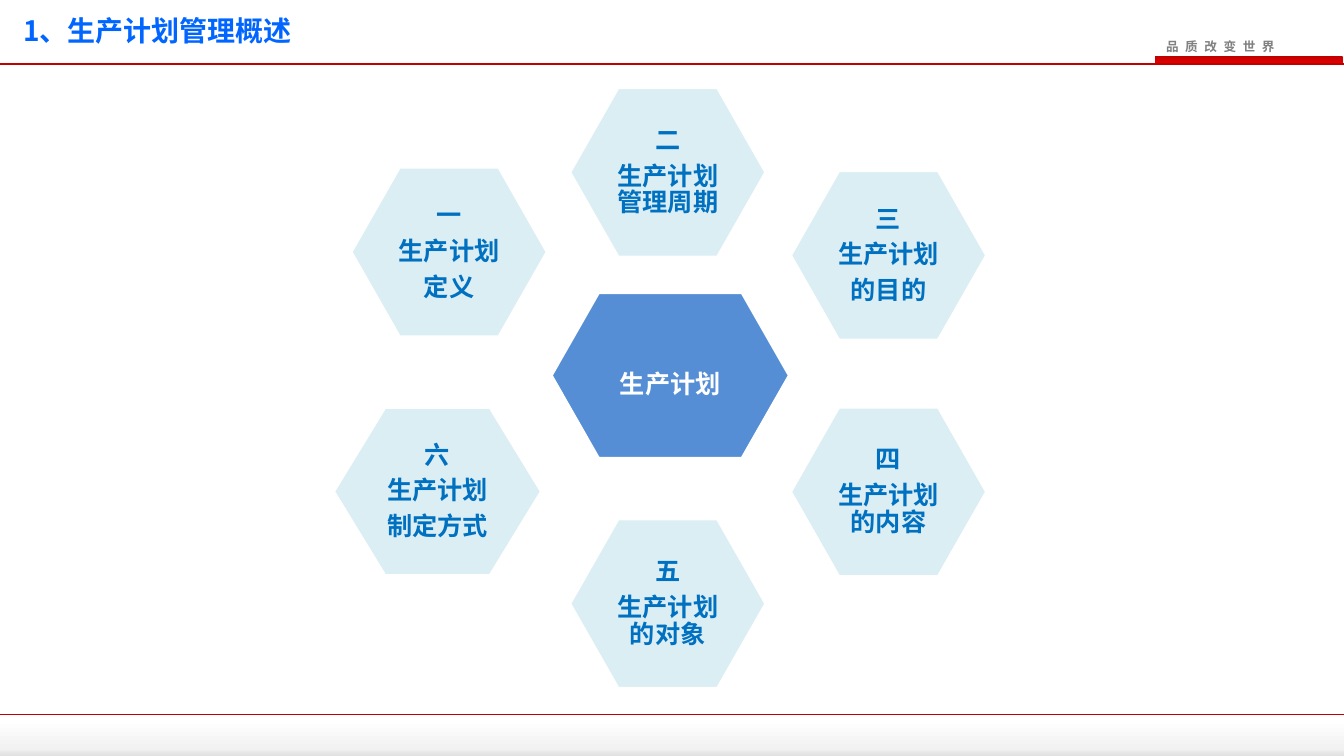
from lxml import etree
from pptx import Presentation
from pptx.dml.color import RGBColor
from pptx.enum import shapes, text
from pptx.oxml import ns
from pptx.util import Pt

WIDTH, HEIGHT = 960, 540
RED, BLUE, PALE, WHITE = "C00000", "0070C0", "DBEEF4", "FFFFFF"


def rgb(value):
    return RGBColor.from_string(value)


class Deck:
    font = "Noto Sans CJK SC"

    def __init__(self):
        self.prs = Presentation()
        self.prs.slide_width, self.prs.slide_height = Pt(WIDTH), Pt(HEIGHT)
        self.s = self.prs.slides.add_slide(self.prs.slide_layouts[6])

    def set_lines(self, tf, lines, size, color, spacing=None, after=None, align=None):
        """Fill a text frame with one bold paragraph per line."""
        for i, line in enumerate(lines):
            p = tf.paragraphs[0] if i == 0 else tf.add_paragraph()
            p.text = line
            p.alignment = align
            p.line_spacing = spacing
            if after is not None:
                p.space_after = Pt(after)
            for f in (p.font, p.runs[0].font):
                f.size, f.bold, f.name = Pt(size), True, self.font
                f.color.rgb = rgb(color)
                ea = etree.SubElement(f._element, ns.qn("a:ea"))
                ea.set("typeface", self.font)

    def label(self, line, x, y, w, h, size, color, spacing=None, tracking=0, wrap=True):
        """Add a text box; tracking is in hundredths of a point."""
        tf = self.s.shapes.add_textbox(Pt(x), Pt(y), Pt(w), Pt(h)).text_frame
        tf.word_wrap = wrap
        tf.vertical_anchor = text.MSO_ANCHOR.MIDDLE
        self.set_lines(tf, [line], size, color, spacing)
        if tracking:
            tf.paragraphs[0].runs[0].font._element.set("spc", str(tracking))

    def gradient_bar(self, x, y, w, h, stops):
        """Draw a rectangle shaded from top to bottom."""
        sp = self.s.shapes.add_shape(
            shapes.MSO_SHAPE.RECTANGLE, Pt(x), Pt(y), Pt(w), Pt(h))
        sp.shadow.inherit = False
        sp.line.fill.background()
        sp.fill.gradient()
        sp.fill.gradient_angle = 270
        stop_list = sp._element.spPr.find(".//" + ns.qn("a:gsLst"))
        for old in list(stop_list):
            stop_list.remove(old)
        for percent, color in stops:
            gs = etree.SubElement(stop_list, ns.qn("a:gs"), pos=str(percent * 1000))
            etree.SubElement(gs, ns.qn("a:srgbClr"), val=color)

    def rule(self, y, width):
        """Draw a red line across the slide."""
        sp = self.s.shapes.add_connector(
            shapes.MSO_CONNECTOR.STRAIGHT, 0, Pt(y), Pt(WIDTH), Pt(y))
        sp.line.color.rgb, sp.line.width = rgb(RED), Pt(width)
        etree.SubElement(sp._element.spPr, ns.qn("a:effectLst"))

    def hexagon(self, cx, cy, w, h, cut, lines, fill, color, margins, spacing):
        """Draw a hexagon around a centre; cut is the run of its slanted sides."""
        half, top = w / 2, h / 2
        corners = [(-half, 0), (cut - half, -top), (half - cut, -top),
                   (half, 0), (half - cut, top), (cut - half, top)]
        points = [(Pt(cx + dx), Pt(cy + dy)) for dx, dy in corners]
        builder = self.s.shapes.build_freeform(*points[0])
        builder.add_line_segments(points[1:], close=True)
        sp = builder.convert_to_shape()
        sp.shadow.inherit = False
        sp.fill.solid()
        sp.fill.fore_color.rgb = rgb(fill)
        sp.line.color.rgb, sp.line.width = rgb(WHITE), Pt(2)
        tf = sp.text_frame
        tf.word_wrap = True
        tf.vertical_anchor = text.MSO_ANCHOR.MIDDLE
        tf.margin_left = tf.margin_right = Pt(margins[0])
        tf.margin_top = tf.margin_bottom = Pt(margins[1])
        self.set_lines(tf, lines, 18, color, spacing, 6.3, text.PP_ALIGN.CENTER)


def main():
    deck = Deck()
    deck.gradient_bar(0, 514, WIDTH, 27, [(0, WHITE), (75, "F2F2F2"), (100, "DCDCDC")])
    deck.rule(510.3, 1)
    deck.gradient_bar(825, 40.2, 134, 6.2, [(0, RED), (100, "EE0000")])
    deck.label("品质改变世界", 825.8, 24.5, 98, 18, 9, "808080", tracking=470, wrap=False)
    deck.rule(45.6, 1.5)
    deck.label("1、生产计划管理概述", 9.4, 4.3, 682.6, 33.8, 20, "0066FF", Pt(25))

    deck.hexagon(478.8, 268.2, 170, 118.4, 33.8, ["生产计划"],
                 "558ED5", WHITE, (37.4, 26.6), 1.5)
    usual, wide = (140, 121, 34.5), (148.4, 120.2, 36.7)
    topics = [
        (477, 123.1, usual, ["二", "生产计划管理周期"]),
        (634.7, 182.4, usual, ["三", "生产计划", "的目的"]),
        (634.7, 351.3, usual, ["四", "生产计划的内容"]),
        (477, 431.2, usual, ["五", "生产计划的对象"]),
        (312.5, 351.1, wide, ["六", "生产计划", "制定方式"]),
        (320.8, 180, usual, ["一", "生产计划", "定义"]),
    ]
    for cx, cy, size, lines in topics:
        deck.hexagon(cx, cy, *size, lines, PALE, BLUE, (26.6, 23), Pt(19.2))
    deck.prs.save("out.pptx")


if __name__ == "__main__":
    main()
